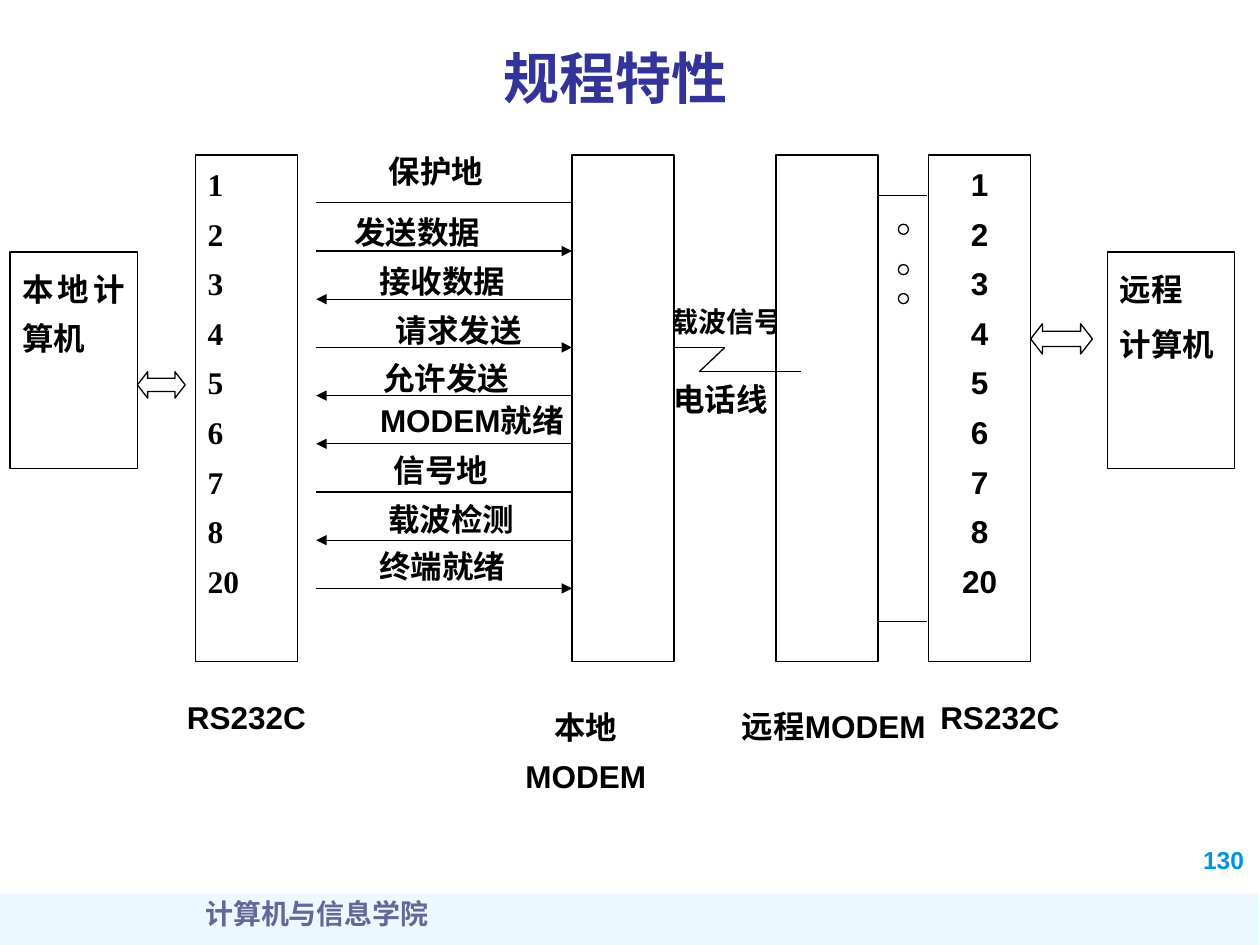
from collections import namedtuple

from lxml.etree import SubElement
from pptx import Presentation
from pptx.dml.color import RGBColor
from pptx.enum.shapes import MSO_CONNECTOR, MSO_SHAPE
from pptx.enum.text import MSO_ANCHOR, PP_ALIGN
from pptx.oxml import parse_xml
from pptx.oxml.ns import nsdecls, qn
from pptx.util import Inches, Pt

COLORS = {"text": "000000", "white": "FFFFFF", "title": "333399",
          "band": "A7E2FF", "number": "0094DE", "footer": "666699", "shadow": "C0C0C0"}
PINS = ["1", "2", "3", "4", "5", "6", "7", "8", "20"]
SIGNALS = [
    ("保护地", 2.87, 1.07, 1.18, None),
    ("发送数据", 2.60, 1.55, 1.42, "right"),
    ("接收数据", 2.80, 1.94, 1.42, "left"),
    ("请求发送", 2.91, 2.33, 1.46, "right"),
    ("允许发送", 2.87, 2.71, 1.34, "left"),
    ("MODEM就绪", 2.80, 3.04, 1.89, "left"),
    ("信号地", 2.87, 3.44, 1.26, None),
    ("载波检测", 2.87, 3.83, 1.42, "left"),
    ("终端就绪", 2.80, 4.20, 1.42, "right"),
]
Box = namedtuple("Box", "left top width height")


def color(name):
    """Return a palette colour."""
    return RGBColor.from_string(COLORS[name])


def inches(*values):
    """Convert several lengths to inches."""
    return [Inches(value) for value in values]


def write(shape, lines, size=18, font="Arial", ink="text", align=PP_ALIGN.CENTER,
          spacing=1.3, gap=3.6, anchor=MSO_ANCHOR.TOP, wrap=True):
    """Fill a shape with equally formatted bold paragraphs."""
    frame = shape.text_frame
    frame.word_wrap = wrap
    frame.vertical_anchor = anchor
    frame.text = "\n".join(lines)
    for index, paragraph in enumerate(frame.paragraphs):
        layout = {"alignment": align, "line_spacing": spacing,
                  "space_before": Pt(gap if index else 0)}
        for name, value in layout.items():
            setattr(paragraph, name, value)
        for run in paragraph.runs:
            for name, value in {"name": font, "size": Pt(size), "bold": True}.items():
                setattr(run.font, name, value)
            run.font.color.rgb = color(ink)


def add_label(slide, box, text, **formats):
    """Add a text box holding one line."""
    write(slide.shapes.add_textbox(*inches(*box)), [text], **formats)


def add_outline(slide, kind, box, filled=True):
    """Add a thin black outlined shape."""
    shape = slide.shapes.add_shape(kind, *inches(*box))
    shape.shadow.inherit = False
    if filled:
        shape.fill.solid()
        shape.fill.fore_color.rgb = color("white")
    else:
        shape.fill.background()
    shape.line.color.rgb = color("text")
    shape.line.width = Pt(0.75)
    return shape


def add_line(slide, start, end, arrow=False):
    """Add a thin straight line, optionally ending in an arrowhead."""
    line = slide.shapes.add_connector(MSO_CONNECTOR.STRAIGHT, *inches(*start, *end))
    line.line.color.rgb = color("text")
    line.line.width = Pt(0.75)
    if arrow:
        SubElement(line.line._get_or_add_ln(), qn("a:tailEnd"), type="triangle")
    SubElement(line._element.spPr, qn("a:effectLst"))


def add_title(slide, box):
    """Place the title with its soft grey text shadow."""
    title = slide.shapes.title
    for name, value in zip(box._fields, inches(*box)):
        setattr(title, name, value)
    write(title, ["规程特性 "], size=32, font="Times New Roman", ink="title",
          spacing=1.0, anchor=MSO_ANCHOR.MIDDLE)
    properties = title.text_frame.paragraphs[0].runs[0].font._element
    properties.find(qn("a:solidFill")).addnext(parse_xml(
        f'<a:effectLst {nsdecls("a")}><a:outerShdw dist="35921" dir="2700000">'
        f'<a:srgbClr val="{COLORS["shadow"]}"/></a:outerShdw></a:effectLst>'))


def add_footer(slide, box):
    """Add the tinted band, the department and the page number."""
    band = slide.shapes.add_shape(MSO_SHAPE.RECTANGLE, *inches(*box))
    band.shadow.inherit = False
    band.fill.solid()
    band.fill.fore_color.rgb = color("band")
    tint = band._element.spPr.find(qn("a:solidFill")).find(qn("a:srgbClr"))
    SubElement(tint, qn("a:alpha"), val="21000")
    band.line.fill.background()
    add_label(slide, Box(box.left + 9.46, box.top - 0.43, 0.59, 0.33), "130", size=14,
              ink="number", align=PP_ALIGN.LEFT, spacing=1.0, anchor=MSO_ANCHOR.MIDDLE)
    add_label(slide, Box(box.left + 0.28, box.top - 0.02, 4.49, 0.5), "计算机与信息学院",
              size=16, font="Times New Roman", ink="footer", spacing=1.0)


def add_signals(slide, box):
    """Draw the evenly spaced signal lines and their labels."""
    step = box.height / (len(SIGNALS) - 1)
    for index, (text, left, top, width, direction) in enumerate(SIGNALS):
        y = box.top + index * step
        ends = [(box.left, y), (box.left + box.width, y)]
        if direction == "left":
            ends.reverse()
        add_line(slide, *ends, arrow=direction is not None)
        add_label(slide, Box(left, top, width, 0.49), text)


def add_columns(slide, box):
    """Draw the two connector columns and the two modem columns."""
    columns = [(0, "Times New Roman", PP_ALIGN.JUSTIFY), (2.99, None, None),
               (4.61, None, None), (5.82, "Arial", PP_ALIGN.CENTER)]
    for offset, font, align in columns:
        column = add_outline(slide, MSO_SHAPE.RECTANGLE,
                             box._replace(left=box.left + offset, width=0.81))
        if font:
            write(column, PINS, font=font, align=align, spacing=1.1, gap=4.6)


def add_computer(slide, box, lines, arrow):
    """Draw a computer and its two-way arrow."""
    computer = add_outline(slide, MSO_SHAPE.RECTANGLE, box)
    write(computer, lines, font="Times New Roman", align=PP_ALIGN.JUSTIFY)
    shape = add_outline(slide, MSO_SHAPE.LEFT_RIGHT_ARROW, arrow)
    shape.adjustments[1] = 0.39


def add_phone_line(slide, box):
    """Draw the zigzag carrier line."""
    bottom = box.top + box.height
    points = [(box.left, box.top), (box.left + 0.4, box.top),
              (box.left + 0.2, bottom), (box.left + box.width, bottom)]
    for start, end in zip(points, points[1:]):
        add_line(slide, start, end)


def add_remote_links(slide, box):
    """Draw the outer links and the dots between them."""
    for y in (box.top, box.top + box.height):
        add_line(slide, (box.left, y), (box.left + box.width, y))
    for offset in (0.23, 0.55, 0.78):
        add_outline(slide, MSO_SHAPE.OVAL,
                    Box(box.left + 0.16, box.top + offset, 0.08, 0.08), filled=False)


def add_captions(slide, box):
    """Label the columns underneath."""
    for offset in (0, 5.98):
        add_label(slide, Box(box.left + offset, box.top, 1.15, 0.49), "RS232C", wrap=False)
    add_label(slide, Box(box.left + 2.49, box.top + 0.08, 1.56, 0.89), "本地MODEM")
    add_label(slide, Box(box.left + 4.41, box.top + 0.16, 1.73, 0.4), "远程MODEM",
              align=PP_ALIGN.LEFT, spacing=1.0, anchor=MSO_ANCHOR.MIDDLE, wrap=False)


def main():
    """Build and save the slide."""
    presentation = Presentation()
    presentation.slide_width, presentation.slide_height = inches(10, 7.5)
    slide = presentation.slides.add_slide(presentation.slide_layouts[5])
    add_footer(slide, Box(-0.01, 7.09, 10, 0.44))
    add_title(slide, Box(1.06, 0.24, 7.75, 0.75))
    add_label(slide, Box(5.22, 2.29, 1.09, 0.45), "载波信号", size=16, wrap=False)
    add_label(slide, Box(5.24, 2.88, 0.96, 0.49), "电话线", wrap=False)
    add_columns(slide, Box(1.55, 1.23, 6.63, 4.02))
    add_signals(slide, Box(2.51, 1.61, 2.03, 3.06))
    add_computer(slide, Box(0.08, 2, 1.01, 1.72), ["本地计算机"], Box(1.09, 2.95, 0.38, 0.21))
    add_computer(slide, Box(8.79, 2, 1.01, 1.72), ["远程", "计算机"], Box(8.18, 2.57, 0.49, 0.24))
    add_phone_line(slide, Box(5.35, 2.76, 1.01, 0.19))
    add_remote_links(slide, Box(6.97, 1.55, 0.39, 3.38))
    add_captions(slide, Box(1.38, 5.4, 7.13, 0.97))
    presentation.save("out.pptx")


if __name__ == "__main__":
    main()
